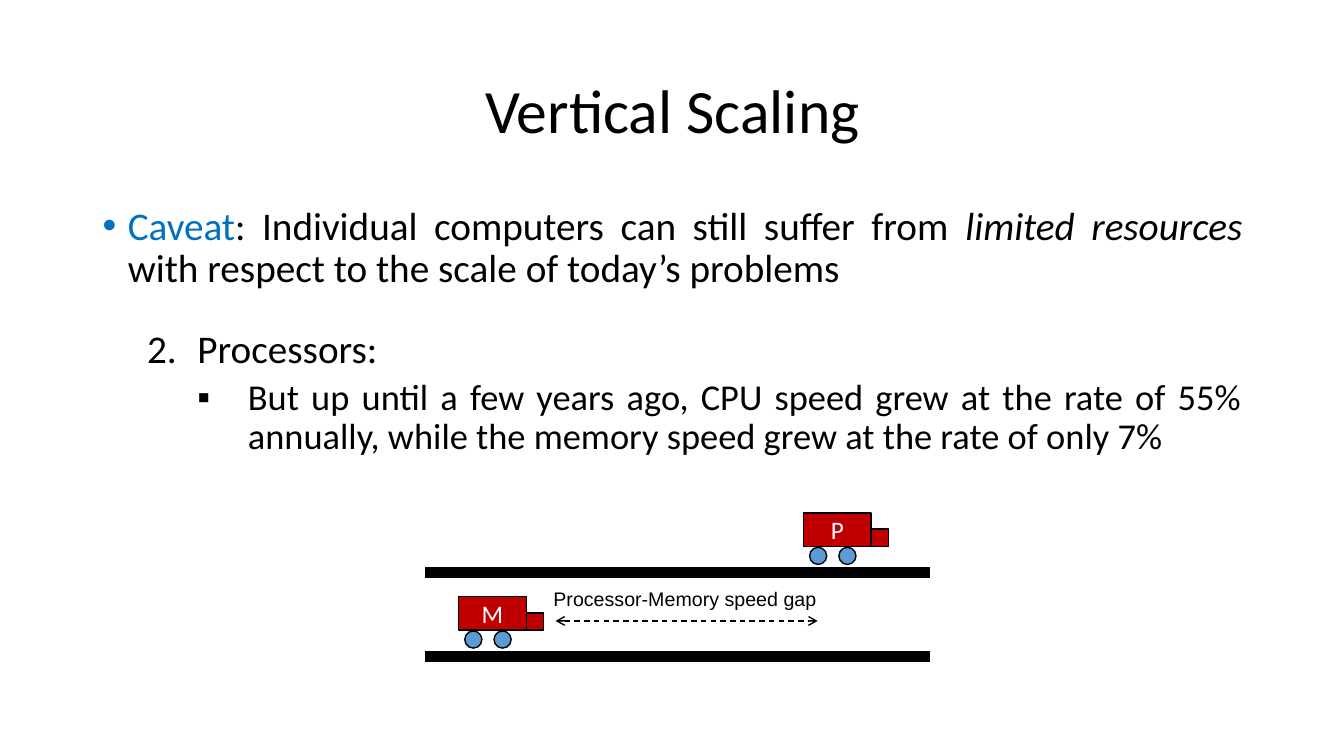
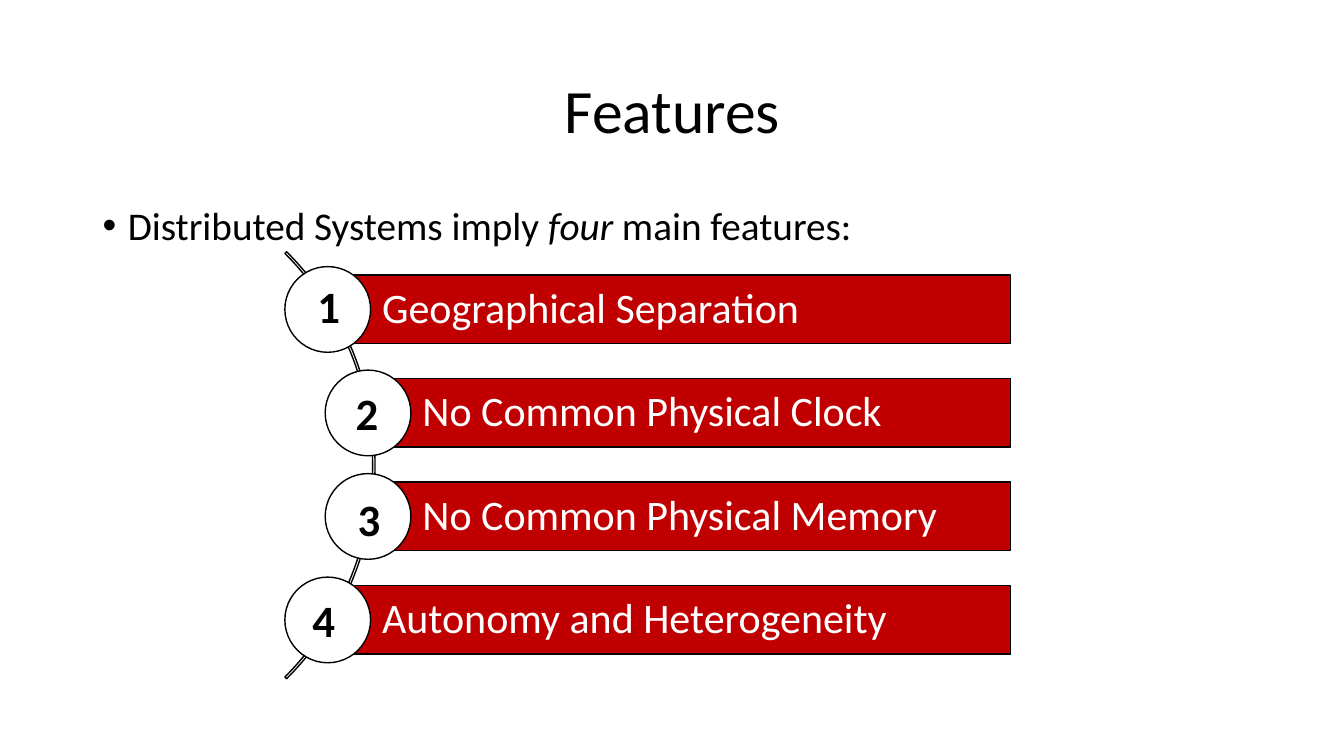
from dataclasses import dataclass

from lxml.etree import SubElement
from pptx import Presentation
from pptx.dml.color import RGBColor as RGB
from pptx.enum.dml import MSO_LINE as Dash
from pptx.enum.shapes import MSO_CONNECTOR as Connector, MSO_SHAPE as Shape
from pptx.enum.text import MSO_ANCHOR as Anchor, PP_ALIGN as Align
from pptx.oxml.ns import qn
from pptx.util import Inches, Pt


@dataclass(frozen=True)
class Theme:
    # Colours
    black: RGB = RGB(0x00, 0x00, 0x00)
    white: RGB = RGB(0xFF, 0xFF, 0xFF)
    red: RGB = RGB(0xC0, 0x00, 0x00)
    blue: RGB = RGB(0x00, 0x70, 0xC0)
    wheel: RGB = RGB(0x5B, 0x9B, 0xD5)
    # Fonts, sizes and spacing
    font: str = "Calibri"
    label_font: str = "Arial"
    title: int = 44
    digit: int = 32
    bar: int = 30
    body: int = 28
    detail: int = 26
    truck: int = 18
    label: int = 14
    line_spacing: float = 0.9
    outline: float = 1
    road: float = 7.75


THEME = Theme()


def set_font(para, size, color=THEME.black, name=THEME.font, bold=False):
    font = para.font
    font.name, font.size, font.bold = name, Pt(size), bold
    font.color.rgb = color


def add_text_box(page, left, top, width, height, wrap=True):
    box = page.shapes.add_textbox(
        Inches(left), Inches(top), Inches(width), Inches(height))
    box.text_frame.word_wrap = wrap
    return box.text_frame


def add_label(page, left, top, width, height, text, size, **font):
    para = add_text_box(page, left, top, width, height, wrap=False).paragraphs[0]
    para.text = text
    set_font(para, size, **font)


def add_title(page, text):
    frame = add_text_box(page, 0.92, 0.4, 11.5, 1.45)
    frame.vertical_anchor = Anchor.MIDDLE
    para = frame.paragraphs[0]
    para.text = text
    para.alignment = Align.CENTER
    para.line_spacing = THEME.line_spacing
    set_font(para, THEME.title)


def add_bullet(para, mark, left, hanging, color):
    """Give a paragraph a bullet character, or a number if mark is an int."""
    props = para._p.get_or_add_pPr()
    props.set("marL", str(Inches(left)))
    props.set("indent", str(-Inches(hanging)))
    fill = SubElement(props, qn("a:buClr"))
    SubElement(fill, qn("a:srgbClr"), val=str(color))
    if isinstance(mark, int):
        SubElement(props, qn("a:buFont"), typeface=THEME.font)
        SubElement(props, qn("a:buAutoNum"), type="arabicPeriod", startAt=str(mark))
    else:
        SubElement(props, qn("a:buFont"), typeface="Arial")
        SubElement(props, qn("a:buChar"), char=mark)


def add_body(page):
    return add_text_box(page, 0.92, 2, 11.5, 4.76)


def add_item(para, spans, mark="•", level=0, left=0.25, hanging=0.25,
             size=THEME.body, before=0, mark_color=THEME.black):
    """Fill a list paragraph; each span is (text, italic, colour)."""
    para.level = level
    add_bullet(para, mark, left, hanging, mark_color)
    para.alignment = Align.JUSTIFY
    para.line_spacing = THEME.line_spacing
    para.space_before = Pt(before)
    set_font(para, size)
    for text, italic, color in spans:
        span = para.add_run()
        span.text = text
        span.font.italic = italic
        span.font.color.rgb = color


def add_block(page, kind, left, top, width, height, fill=None):
    block = page.shapes.add_shape(
        kind, Inches(left), Inches(top), Inches(width), Inches(height))
    block.shadow.inherit = False
    if fill is None:
        block.fill.background()
    else:
        block.fill.solid()
        block.fill.fore_color.rgb = fill
    block.line.color.rgb = THEME.black
    block.line.width = Pt(THEME.outline)
    return block


def add_line(page, left, right, y, width, arrows=False):
    line = page.shapes.add_connector(
        Connector.STRAIGHT, Inches(left), Inches(y), Inches(right), Inches(y))
    line.line.color.rgb = THEME.black
    line.line.width = Pt(width)
    props = line._element.spPr
    if arrows:
        line.line.dash_style = Dash.DASH
        for end in ("a:headEnd", "a:tailEnd"):
            SubElement(props.find(qn("a:ln")), qn(end), type="arrow")
    SubElement(props, qn("a:effectLst"))


def add_truck(page, left, top, letter):
    part = 0.17
    cargo = add_block(page, Shape.RECTANGLE, left, top, 0.67, 0.33, THEME.red)
    cargo.text_frame.vertical_anchor = Anchor.MIDDLE
    para = cargo.text_frame.paragraphs[0]
    para.text = letter
    para.alignment = Align.CENTER
    set_font(para, THEME.truck, THEME.white)
    for offset in (0.06, 0.35):
        add_block(page, Shape.OVAL, left + offset, top + 0.34, part, part, THEME.wheel)
    add_block(page, Shape.RECTANGLE, left + 0.67, top + 0.16, part, part, THEME.red)


def add_feature(page, left, top, text):
    """A red bar with a round marker over its left end."""
    right, height, marker = 10.02, 0.68, 0.85
    bar = add_block(page, Shape.RECTANGLE, left, top, right - left, height, THEME.red)
    frame = bar.text_frame
    frame.word_wrap = True
    frame.vertical_anchor = Anchor.MIDDLE
    frame.margin_left = Inches(0.54)
    frame.margin_top = frame.margin_right = frame.margin_bottom = Inches(0.08)
    para = frame.paragraphs[0]
    para.text = text
    para.alignment = Align.LEFT
    para.line_spacing = THEME.line_spacing
    set_font(para, THEME.bar, THEME.white)
    add_block(page, Shape.OVAL, left - marker / 2, top + (height - marker) / 2,
              marker, marker, THEME.white)


def build_scaling(page):
    add_title(page, "Vertical Scaling")
    black = THEME.black
    frame = add_body(page)
    add_item(frame.paragraphs[0], [
        ("Caveat", False, THEME.blue),
        (": Individual computers can still suffer from ", False, black),
        ("limited resources ", True, black),
        ("with respect to the scale of today’s problems", False, black),
    ], mark_color=THEME.blue)
    add_item(frame.add_paragraph(), [("Processors:", False, black)],
             mark=2, level=1, left=0.94, hanging=0.5, before=27.5)
    add_item(frame.add_paragraph(), [
        ("But up until a few years ago, CPU speed grew at the rate of 55% annually, "
         "while the memory speed grew at the rate of only 7%", False, black),
    ], mark="▪", level=2, left=1.44, hanging=0.5, size=THEME.detail, before=5)

    # Two trucks on two roads, with the gap between them
    add_truck(page, 7.97, 5.09, "P")
    add_truck(page, 4.55, 5.92, "M")
    for road_y in (5.68, 6.51):
        add_line(page, 4.22, 9.22, road_y, THEME.road)
    add_line(page, 5.51, 8.11, 6.16, THEME.outline, arrows=True)
    add_label(page, 5.39, 5.77, 2.82, 0.34, "Processor-Memory speed gap",
              THEME.label, name=THEME.label_font)


def build_features(page):
    add_title(page, "Features")
    black = THEME.black
    add_item(add_body(page).paragraphs[0], [
        ("Distributed Systems imply ", False, black),
        ("four", True, black),
        (" main features:", False, black),
    ])

    # Thin arc behind the markers, from 315 to 45 degrees
    arc = add_block(page, Shape.BLOCK_ARC, -2.27, 1.62, 5.99, 5.99)
    for index, value in enumerate((189, 27, 0.004)):
        arc.adjustments[index] = value

    # Bars: left edge, text, place of the digit
    features = [
        (3.25, "Geographical Separation", 3.05, 2.72),
        (3.65, "No Common Physical Clock", 3.43, 3.78),
        (3.65, "No Common Physical Memory", 3.45, 4.83),
        (3.25, "Autonomy and Heterogeneity", 3, 5.83),
    ]
    first, last = 2.73, 5.81
    pitch = (last - first) / (len(features) - 1)
    for index, (left, text, digit_left, digit_top) in enumerate(features):
        add_feature(page, left, first + index * pitch, text)
        add_label(page, digit_left, digit_top, 0.43, 0.64, str(index + 1),
                  THEME.digit, bold=True)


def main():
    deck = Presentation()
    deck.slide_width, deck.slide_height = Inches(13.33), Inches(7.5)
    blank = deck.slide_layouts[6]
    for build in (build_scaling, build_features):
        build(deck.slides.add_slide(blank))
    deck.save("out.pptx")


if __name__ == "__main__":
    main()
